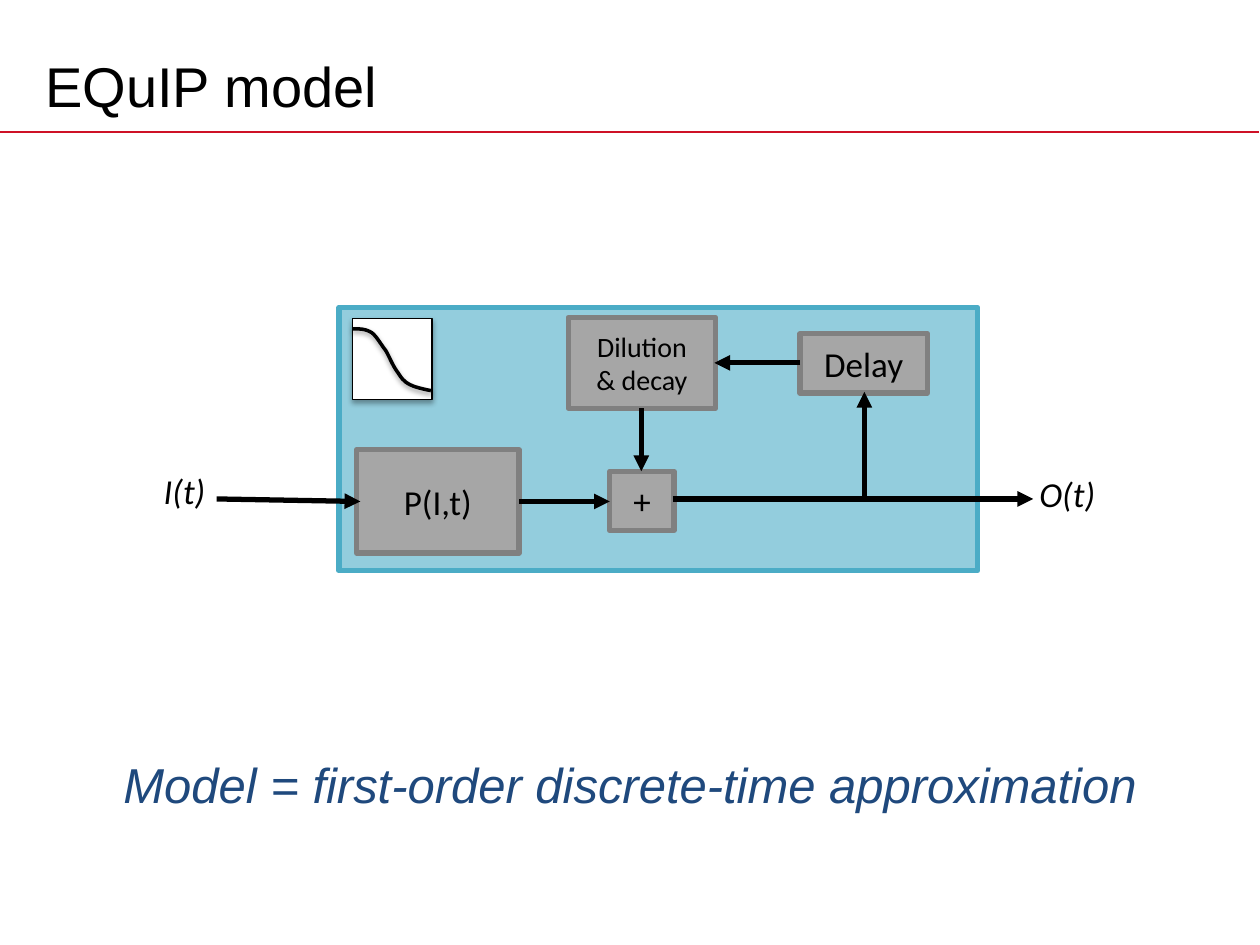
import pptx
import pptx.util
import pptx.dml.color
import pptx.enum.shapes
import pptx.enum.text
import pptx.oxml
import pptx.oxml.ns
import pptx.oxml.xmlchemy

Inches, Pt = pptx.util.Inches, pptx.util.Pt
ALIGN = pptx.enum.text.PP_ALIGN
ANCHOR = pptx.enum.text.MSO_ANCHOR

COLORS = {
    "black": "000000", "white": "FFFFFF", "rule": "CE1126", "navy": "1F497D",
    "system": "93CDDD", "system edge": "4BACC6",
    "block": "A6A6A6", "block edge": "808080",
}

# Text, place (left, top, width, height), alignment, anchor, font format
LABELS = [
    ("EQuIP model", (0.26, 0.3, 9, 0.75), ALIGN.LEFT, ANCHOR.MIDDLE,
     {"name": "Arial", "size": Pt(32)}, "black"),
    ("Model = first-order discrete-time approximation", (0.5, 5.94, 9, 0.76),
     ALIGN.CENTER, ANCHOR.TOP,
     {"name": "Arial", "size": Pt(28), "italic": True}, "navy"),
    ("I(t)", (1.2, 3.68, 0.99, 0.44), ALIGN.LEFT, ANCHOR.TOP,
     {"name": "Calibri", "size": Pt(20), "italic": True}, "black"),
    ("O(t)", (8.15, 3.7, 0.94, 0.44), ALIGN.LEFT, ANCHOR.TOP,
     {"name": "Calibri", "size": Pt(20), "italic": True}, "black"),
]
SYSTEM = (2.69, 2.44, 5.07, 2.09)
BLOCKS = [
    ("P(I,t)", (2.83, 3.57, 1.29, 0.82), 20),
    ("+", (4.84, 3.74, 0.51, 0.47), 20),
    ("Delay", (6.35, 2.65, 1.01, 0.47), 20),
    ("Dilution\n& decay", (4.51, 2.52, 1.17, 0.72), 16),
]
ARROWS = [
    ((1.72, 3.96), (2.86, 3.98)),  # input to production
    ((4.12, 3.98), (4.84, 3.98)),  # production to sum
    ((5.34, 3.96), (8.2, 3.96)),   # sum to output
    ((6.86, 3.96), (6.86, 3.11)),  # output to delay
    ((6.35, 2.88), (5.67, 2.88)),  # delay to dilution
    ((5.09, 3.24), (5.09, 3.74)),  # dilution to sum
]
RULE = ((0, 1.05), (9.99, 1.05))
PLOT = (2.8, 2.53, 0.63, 0.64)
# Bezier knots: each curve has two control points, then an end point
CURVE_START = (2.8, 2.61)
CURVES = [
    ((2.86, 2.61), (2.9, 2.61), (2.95, 2.64)),
    ((2.99, 2.67), (3.02, 2.73), (3.06, 2.78)),
    ((3.09, 2.83), (3.12, 2.91), (3.16, 2.96)),
    ((3.19, 3.01), (3.22, 3.04), (3.27, 3.06)),
    ((3.31, 3.08), (3.42, 3.1), (3.42, 3.1)),
]
CURVE_STEPS = 8


def color(name):
    return pptx.dml.color.RGBColor.from_string(COLORS[name])


def write(frame, text, align, anchor, font, font_color):
    frame.word_wrap = True
    frame.vertical_anchor = anchor
    for index, line in enumerate(text.split("\n")):
        para = frame.paragraphs[0] if index == 0 else frame.add_paragraph()
        para.alignment = align
        span = para.add_run()
        span.text = line
        for key, value in font.items():
            setattr(span.font, key, value)
        span.font.color.rgb = color(font_color)


def set_line(shape, name, width):
    shape.line.color.rgb = color(name)
    shape.line.width = Pt(width)


def add_rectangle(page, place, fill, edge, width):
    box = page.shapes.add_shape(
        pptx.enum.shapes.MSO_SHAPE.RECTANGLE, *map(Inches, place))
    box.shadow.inherit = False
    box.fill.solid()
    box.fill.fore_color.rgb = color(fill)
    set_line(box, edge, width)
    return box


def add_line(page, start, end, name, width, arrow=False):
    line = page.shapes.add_connector(
        pptx.enum.shapes.MSO_CONNECTOR.STRAIGHT, *map(Inches, start + end))
    set_line(line, name, width)
    properties = line._element.spPr
    if arrow:
        head = pptx.oxml.xmlchemy.OxmlElement("a:tailEnd")
        head.set("type", "triangle")
        properties.find(pptx.oxml.ns.qn("a:ln")).append(head)
    properties.append(pptx.oxml.xmlchemy.OxmlElement("a:effectLst"))


def add_drop_shadow(shape, blur, distance, opacity):
    """Cast a black shadow straight down; blur and distance are in points."""
    effects = shape._element.spPr.find(pptx.oxml.ns.qn("a:effectLst"))
    effects.append(pptx.oxml.parse_xml(
        f'<a:outerShdw {pptx.oxml.ns.nsdecls("a")} blurRad="{Pt(blur)}" '
        f'dist="{Pt(distance)}" dir="5400000" rotWithShape="0">'
        f'<a:srgbClr val="{COLORS["black"]}">'
        f'<a:alpha val="{opacity * 1000}"/></a:srgbClr></a:outerShdw>'))


def curve_points():
    """Sample the Bezier curves as a chain of short segments."""
    start = CURVE_START
    for first, second, end in CURVES:
        for step in range(1, CURVE_STEPS + 1):
            t = step / CURVE_STEPS
            u = 1 - t
            yield tuple(
                Inches(u**3 * a + 3 * u*u*t * b + 3 * u*t*t * c + t**3 * d)
                for a, b, c, d in zip(start, first, second, end))
        start = end


def add_response_plot(page):
    frame = add_rectangle(page, PLOT, "white", "black", 0.75)
    add_drop_shadow(frame, 3.1, 1.8, 35)
    builder = page.shapes.build_freeform(*map(Inches, CURVE_START))
    builder.add_line_segments(list(curve_points()), close=False)
    curve = builder.convert_to_shape()
    curve.shadow.inherit = False
    curve.fill.background()
    set_line(curve, "black", 2)
    add_drop_shadow(curve, 3.1, 1.6, 38)


def main():
    deck = pptx.Presentation()
    deck.slide_width, deck.slide_height = Inches(10), Inches(7.5)
    page = deck.slides.add_slide(deck.slide_layouts[6])

    add_line(page, *RULE, "rule", 1)
    add_rectangle(page, SYSTEM, "system", "system edge", 3)
    for text, place, *style in LABELS:
        box = page.shapes.add_textbox(*map(Inches, place))
        write(box.text_frame, text, *style)
    for text, place, size in BLOCKS:
        box = add_rectangle(page, place, "block", "block edge", 3)
        write(box.text_frame, text, ALIGN.CENTER, ANCHOR.MIDDLE,
              {"name": "Calibri", "size": Pt(size)}, "black")
    for start, end in ARROWS:
        add_line(page, start, end, "black", 3, arrow=True)
    add_response_plot(page)
    deck.save("out.pptx")


if __name__ == "__main__":
    main()
